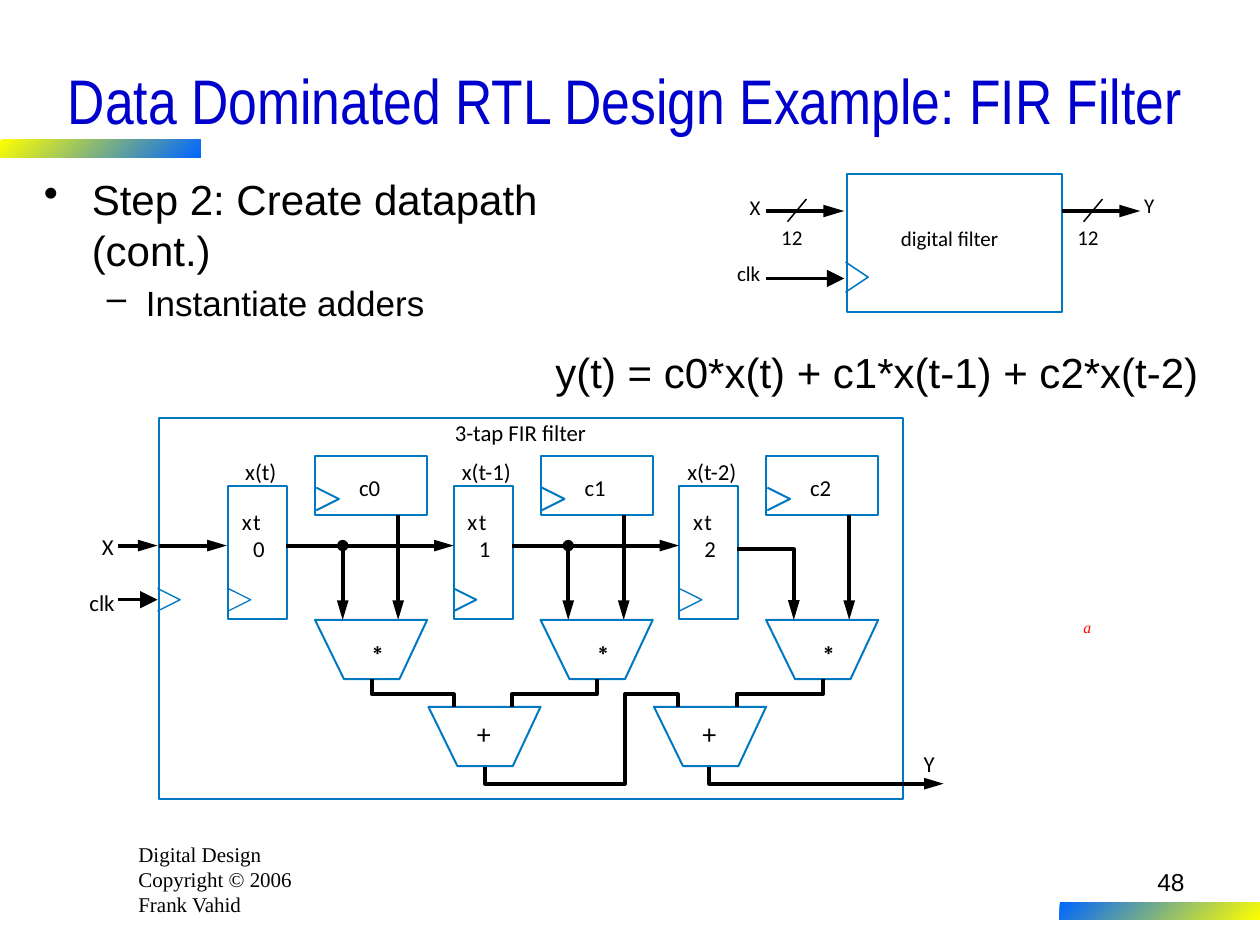
import dataclasses

import pptx
import pptx.dml.color
import pptx.enum.shapes
import pptx.enum.text
import pptx.oxml.ns
import pptx.util
from lxml import etree

SHAPE = pptx.enum.shapes.MSO_SHAPE
ALIGN = pptx.enum.text.PP_ALIGN
ANCHOR = pptx.enum.text.MSO_ANCHOR
qn = pptx.oxml.ns.qn

# The slide is a grid of 100 columns and 75 square rows.
COLUMNS, ROWS = 100, 75
CELL = pptx.util.Inches(0.1)
TAP = 17.9  # columns from one filter tap to the next
UNIT_W, UNIT_H = 8.9, 4.7  # constant registers, multipliers and adders


@dataclasses.dataclass(frozen=True)
class Theme:
    black: str = "000000"
    title: str = "0000CC"
    outline: str = "0078C1"
    yellow: str = "FFFF00"
    blue: str = "0066FF"
    red: str = "FF0000"
    sans: str = "Arial"
    narrow: str = "Arial Narrow"
    label: str = "Calibri"
    serif: str = "Times New Roman"
    title_size: float = 36
    body_size: float = 24
    sub_size: float = 20
    operator_size: float = 16
    number_size: float = 14
    label_size: float = 13
    small_size: float = 12
    mark_size: float = 9
    wire: float = 2.25
    thin: float = 1.5
    box: float = 1.13
    fine: float = 0.75


T = Theme()


def grid(*cells):
    return [pptx.util.Emu(round(c * CELL)) for c in cells]


def rgb(color):
    return pptx.dml.color.RGBColor.from_string(color)


def set_font(p, size, name, color=T.black):
    p.font.size, p.font.name = pptx.util.Pt(size), name
    p.font.color.rgb = rgb(color)


def set_line(sp, color, width, head=None):
    """Style the outline; head is the width class of an end arrowhead."""
    sp.line.color.rgb = rgb(color)
    sp.line.width = pptx.util.Pt(width)
    if head:
        etree.SubElement(sp.line._get_or_add_ln(), qn("a:tailEnd"),
                         type="triangle", w=head, len="lg")


def add_text(s, lines, box, size=T.label_size, name=T.label, color=T.black,
             align=ALIGN.LEFT, wrap=False, inset=0):
    sp = s.shapes.add_textbox(*grid(*box))
    tf = sp.text_frame
    tf.word_wrap = wrap
    tf.margin_left, tf.margin_right = grid(inset, inset)
    tf.margin_top, tf.margin_bottom = grid(inset / 2, inset / 2)
    tf.text = "\n".join(lines)
    for p in tf.paragraphs:
        p.alignment = align
        set_font(p, size, name, color)
    return tf


def add_label(s, text, x, y, w, size=T.label_size, **style):
    return add_text(s, [text], (x, y, w, 2.2), size, **style)


def add_box(s, x, y, w, h, width=T.box):
    sp = s.shapes.add_shape(SHAPE.RECTANGLE, *grid(x, y, w, h))
    sp.shadow.inherit = False
    sp.fill.background()
    set_line(sp, T.outline, width)


def add_gradient_bar(s, x, y, colors):
    sp = s.shapes.add_shape(SHAPE.RECTANGLE, *grid(x, y, 15.9, 1.4))
    sp.shadow.inherit = False
    sp.line.fill.background()
    sp.fill.gradient()
    sp.fill.gradient_angle = 315
    for stop, color in zip(sp.fill.gradient_stops, colors):
        stop.color.rgb = rgb(color)


def add_dot(s, x, y, d=0.8):
    sp = s.shapes.add_shape(SHAPE.OVAL, *grid(x - d / 2, y - d / 2, d, d))
    sp.shadow.inherit = False
    sp.fill.solid()
    sp.fill.fore_color.rgb = rgb(T.black)
    set_line(sp, T.black, T.fine)


def add_wire(s, x1, y1, x2, y2, width=T.wire, head="med"):
    sp = s.shapes.add_connector(pptx.enum.shapes.MSO_CONNECTOR.STRAIGHT,
                                *grid(x1, y1, x2, y2))
    set_line(sp, T.black, width, head)
    etree.SubElement(sp._element.spPr, qn("a:effectLst"))


def add_path(s, points, color=T.black, width=T.wire, head=None, close=False):
    start, *rest = [grid(*pt) for pt in points]
    fb = s.shapes.build_freeform(*start)
    fb.add_line_segments(rest, close=close)
    sp = fb.convert_to_shape()
    sp.shadow.inherit = False
    sp.fill.background()
    set_line(sp, color, width, head)


def add_clock_mark(s, x, y, width=T.fine, h=1.8):
    add_path(s, [(x, y + h / 2), (x + 1.8, y), (x, y - h / 2)],
             T.outline, width)


def add_operator(s, x, y, symbol, name):
    """Draw a funnel-shaped arithmetic unit with its symbol."""
    add_path(s, [(x, y), (x + UNIT_W, y), (x + 6.7, y + UNIT_H),
                 (x + 2.3, y + UNIT_H)], T.outline, T.box, close=True)
    add_label(s, symbol, x + 3.85, y + 0.75, 1.1, T.operator_size, name=name)


def add_tap(s, i):
    x = 18.1 + i * TAP
    add_box(s, x, 38.6, 4.7, 10.5)
    add_clock_mark(s, x, 47.6, T.box if i == 1 else T.fine)
    add_label(s, "x(t)" if i == 0 else f"x(t-{i})", x + 0.6, 36.3, 4,
              align=ALIGN.CENTER)
    add_label(s, "x", x + 1.1, 40.3, 0.9)
    add_label(s, f"t{i}", x + 2, 40.3, 1.4, wrap=True)

    unit = 25 + i * TAP
    add_box(s, unit, 36.2, UNIT_W, UNIT_H)
    add_clock_mark(s, unit + 0.1, 39.6, T.box)
    add_label(s, f"c{i}", unit + 3.5, 37.6, 1.7)
    add_wire(s, unit + 6.6, 40.9, unit + 6.6, 49.2)
    add_operator(s, unit, 49.2, "∗", T.sans)


def add_fir_filter(s):
    add_box(s, 12.6, 33.2, 59.1, 30.2)
    add_label(s, "3-tap FIR filter", 36.1, 33.2, 11)
    add_label(s, "X", 8.1, 42.3, 1.3)
    add_label(s, "clk", 7.1, 46.7, 2.2)
    add_label(s, "Y", 73.3, 59.5, 1.3)
    add_wire(s, 9.4, 43.3, 12.5, 43.3)
    add_wire(s, 12.6, 43.3, 18, 43.3)
    add_wire(s, 9.4, 47.6, 12.5, 47.6, T.thin, "lg")
    add_clock_mark(s, 12.5, 47.6)
    for i in range(3):
        add_tap(s, i)
    for x in (0, TAP):
        add_wire(s, 22.7 + x, 43.3, 36 + x, 43.3)
        add_wire(s, 27.2 + x, 43.3, 27.2 + x, 49.2)
        add_dot(s, 27.2 + x, 43.3)
        add_operator(s, 34 + x, 56.1, "+", T.label)
        add_path(s, [(47.4 + x, 53.9), (47.4 + x, 55.1),
                     (40.6 + x, 55.1), (40.6 + x, 56.1)])
    add_path(s, [(58.5, 43.6), (63, 43.6), (63, 49.2)], head="med")
    add_path(s, [(29.5, 53.9), (29.5, 55.1), (36, 55.1), (36, 56.1)])
    add_path(s, [(38.5, 60.9), (38.5, 62.2), (49.6, 62.2), (49.6, 55.1),
                 (53.8, 55.1), (53.8, 56.1)])
    add_path(s, [(56.3, 60.9), (56.3, 62.2), (74.9, 62.2)], head="med")


def add_block_symbol(s):
    add_box(s, 67.2, 13.8, 17.1, 11, 1.25)
    add_clock_mark(s, 67.1, 22, 0.88, h=2.4)
    for x in (60.8, 84.3):
        add_wire(s, x, 16.75, x + 6.2, 16.75, 2.38)
        add_wire(s, x + 3.2, 15.8, x + 1.7, 17.6, 0.88, head=None)
        add_label(s, "12", x + 1.2, 17.8, 1.8, T.small_size)
    add_wire(s, 60.8, 22.1, 67, 22.1, 1.63, "lg")
    for text, x, y, w in (("X", 59.5, 15.4, 1.1), ("Y", 90.8, 15.3, 1.1),
                          ("clk", 58.5, 20.7, 2),
                          ("digital filter", 71.5, 17.9, 7.9)):
        add_label(s, text, x, y, w, T.small_size)


def add_title(s, text):
    sp = s.shapes.title
    sp.left, sp.top, sp.width, sp.height = grid(2.5, 3.3, 94.2, 9.2)
    tf = sp.text_frame
    tf.text = text
    tf.vertical_anchor = ANCHOR.MIDDLE
    tf.paragraphs[0].alignment = ALIGN.CENTER
    set_font(tf.paragraphs[0], T.title_size, T.narrow, T.title)


def add_bullets(s):
    items = [("Step 2: Create datapath (cont.)", "•", 3.8, 3.8, T.body_size),
             ("Instantiate adders", "–", 8.1, 3.1, T.sub_size)]
    tf = add_text(s, [item[0] for item in items], (2.5, 13.3, 41.9, 27),
                  name=T.sans, wrap=True, inset=1)
    for level, (p, item) in enumerate(zip(tf.paragraphs, items)):
        _, mark, indent, hang, size = item
        p.level = level
        p.space_before = pptx.util.Pt(0.2 * size * level)
        pPr = p._p.get_or_add_pPr()
        pPr.set("marL", str(grid(indent)[0]))
        pPr.set("indent", str(grid(-hang)[0]))
        bullet = etree.Element(qn("a:buChar"), char=mark)
        pPr.find(qn("a:defRPr")).addprevious(bullet)
        p.font.size = pptx.util.Pt(size)


def main():
    prs = pptx.Presentation()
    prs.slide_width, prs.slide_height = grid(COLUMNS, ROWS)
    s = prs.slides.add_slide(prs.slide_layouts[5])
    add_gradient_bar(s, 0, 11.1, (T.yellow, T.blue))
    add_gradient_bar(s, 84.1, 71.6, (T.blue, T.yellow))
    add_title(s, "Data Dominated RTL Design Example: FIR Filter")
    add_bullets(s)
    add_text(s, ["y(t) = c0*x(t) + c1*x(t-1) + c2*x(t-2)"],
             (43.1, 27, 53, 5), T.body_size, T.sans, inset=1)
    add_block_symbol(s)
    add_fir_filter(s)
    mark = add_text(s, ["a"], (85, 48.5, 2.6, 2.5), T.mark_size, T.serif,
                    T.red, inset=1)
    mark.paragraphs[0].font.italic = True
    add_text(s, ["Digital Design", "Copyright © 2006", "Frank Vahid"],
             (10, 66.3, 16.7, 7), T.small_size, T.serif, wrap=True, inset=1)
    add_text(s, ["48"], (74.2, 68.3, 20.8, 5), T.number_size, T.sans,
             align=ALIGN.RIGHT, wrap=True, inset=1)
    prs.save("out.pptx")


if __name__ == "__main__":
    main()
